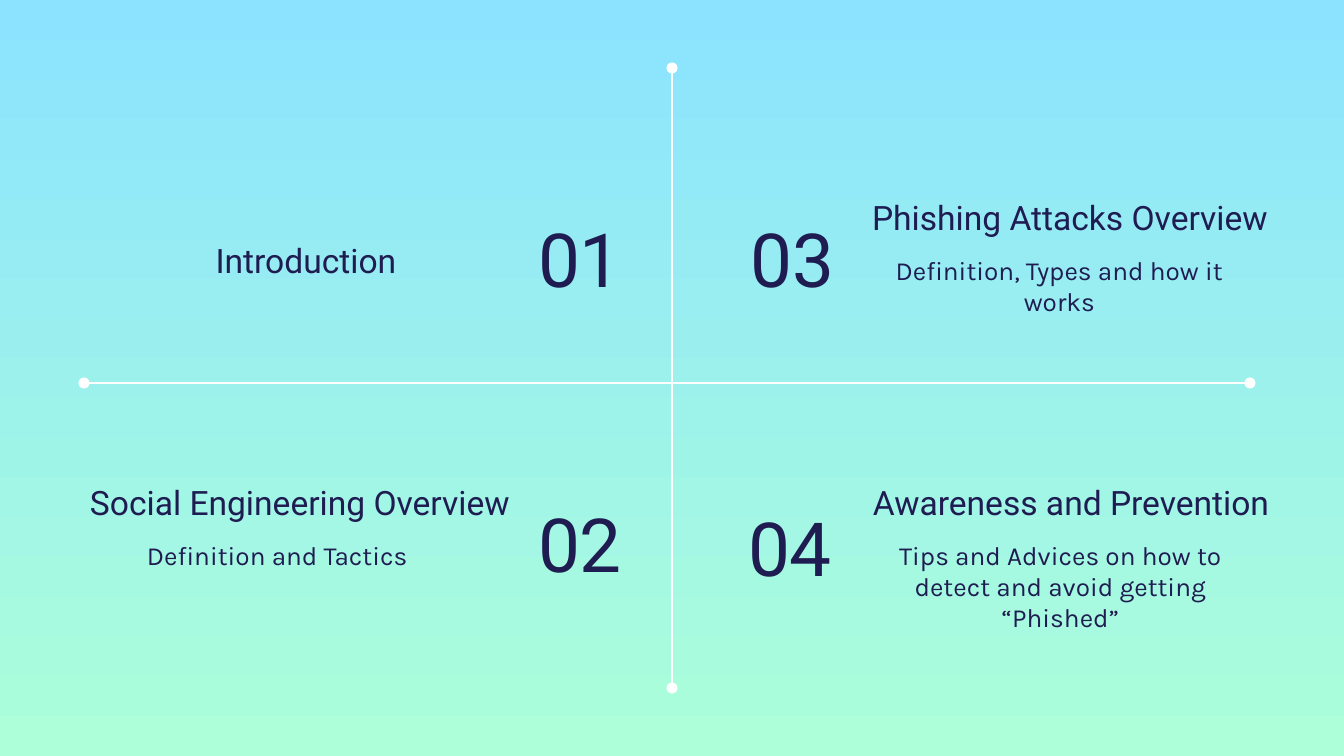
from pptx import Presentation
from pptx.dml.color import RGBColor
from pptx.enum.shapes import MSO_CONNECTOR
from pptx.enum.text import MSO_ANCHOR, PP_ALIGN
from pptx.oxml.ns import qn
from pptx.util import Emu, Pt
from lxml.etree import SubElement

PX = 914400 / 134.4
WIDTH, HEIGHT = 1344, 756
INK, WHITE = "1F1C51", "FFFFFF"
BACKGROUND = ["8BE3FF", "ACFFD9"]
LEFT, CENTER, RIGHT = PP_ALIGN.LEFT, PP_ALIGN.CENTER, PP_ALIGN.RIGHT

NUMBER_SIZE = (175, 116)
HEADING_HEIGHT = 67
DETAIL_SIZE = (401, 93)
DETAIL_DROP = 58  # from the top of a heading to the top of its detail

# number, its left, top and alignment; heading, its left, top, width and alignment; detail
SECTIONS = [
    ("01", 525, 200, LEFT, "Introduction", 77, 226, 458, CENTER, None),
    ("02", 525, 485, LEFT, "Social Engineering Overview", 77, 468, 458, LEFT,
     "Definition and Tactics"),
    ("03", 672, 200, RIGHT, "Phishing Attacks Overview", 859, 183, 437, LEFT,
     "Definition, Types and how it works"),
    ("04", 735, 489, LEFT, "Awareness and Prevention", 860, 468, 449, LEFT,
     "Tips and Advices on how to detect and avoid getting “Phished”"),
]
AXES = [(672, 68, 672, 688), (84, 383, 1250, 383)]


def px(n):
    return Emu(round(n * PX))


def rgb(color):
    return RGBColor.from_string(color)


def add_text(slide, text, left, top, width, height, size, font="Roboto",
             align=LEFT, anchor=MSO_ANCHOR.TOP):
    tf = slide.shapes.add_textbox(px(left), px(top), px(width), px(height)).text_frame
    tf.word_wrap = True
    tf.vertical_anchor = anchor
    tf.margin_left = tf.margin_right = tf.margin_top = tf.margin_bottom = px(13)
    p = tf.paragraphs[0]
    p.alignment = align
    r = p.add_run()
    r.text = text
    r.font.name = font
    r.font.size = Pt(size)
    r.font.color.rgb = rgb(INK)


def add_axis(slide, *ends):
    """Draw a white line with a round dot at each end."""
    line = slide.shapes.add_connector(MSO_CONNECTOR.STRAIGHT, *map(px, ends))
    line.line.color.rgb = rgb(WHITE)
    line.line.width = Pt(1.5)
    ln = line.line._get_or_add_ln()
    for tag in ("a:headEnd", "a:tailEnd"):
        SubElement(ln, qn(tag), type="oval")
    SubElement(line._element.spPr, qn("a:effectLst"))


def main():
    prs = Presentation()
    prs.slide_width, prs.slide_height = px(WIDTH), px(HEIGHT)
    slide = prs.slides.add_slide(prs.slide_layouts[6])

    fill = slide.background.fill
    fill.gradient()
    fill.gradient_angle = 270
    for position, (stop, color) in enumerate(zip(fill.gradient_stops, BACKGROUND)):
        stop.position = position
        stop.color.rgb = rgb(color)

    for axis in AXES:
        add_axis(slide, *axis)

    for (number, num_x, num_y, num_align,
         heading, x, y, width, align, detail) in SECTIONS:
        add_text(slide, number, num_x, num_y, *NUMBER_SIZE, size=40,
                 align=num_align, anchor=MSO_ANCHOR.MIDDLE)
        add_text(slide, heading, x, y, width, HEADING_HEIGHT, size=18,
                 align=align, anchor=MSO_ANCHOR.BOTTOM)
        if detail:
            add_text(slide, detail, x, y + DETAIL_DROP, *DETAIL_SIZE, size=14,
                     font="Karla", align=CENTER)

    prs.save("out.pptx")


if __name__ == "__main__":
    main()
